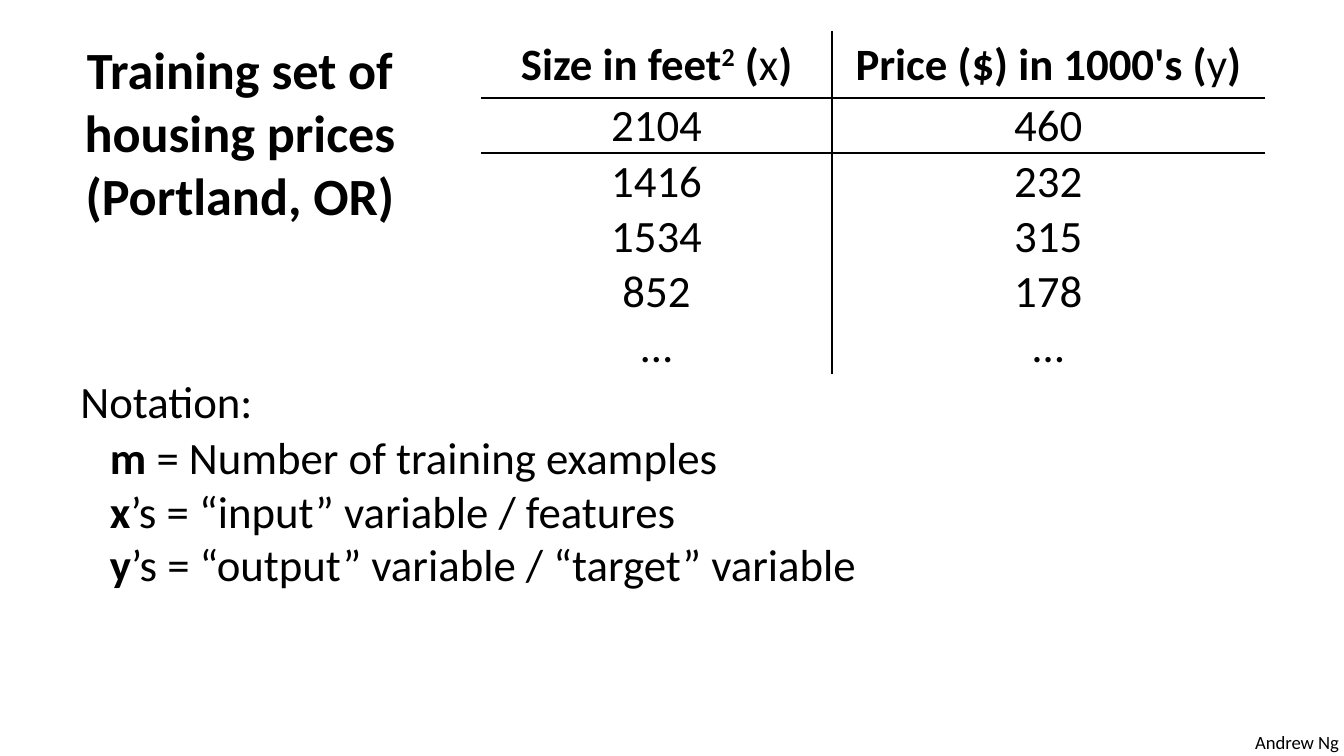
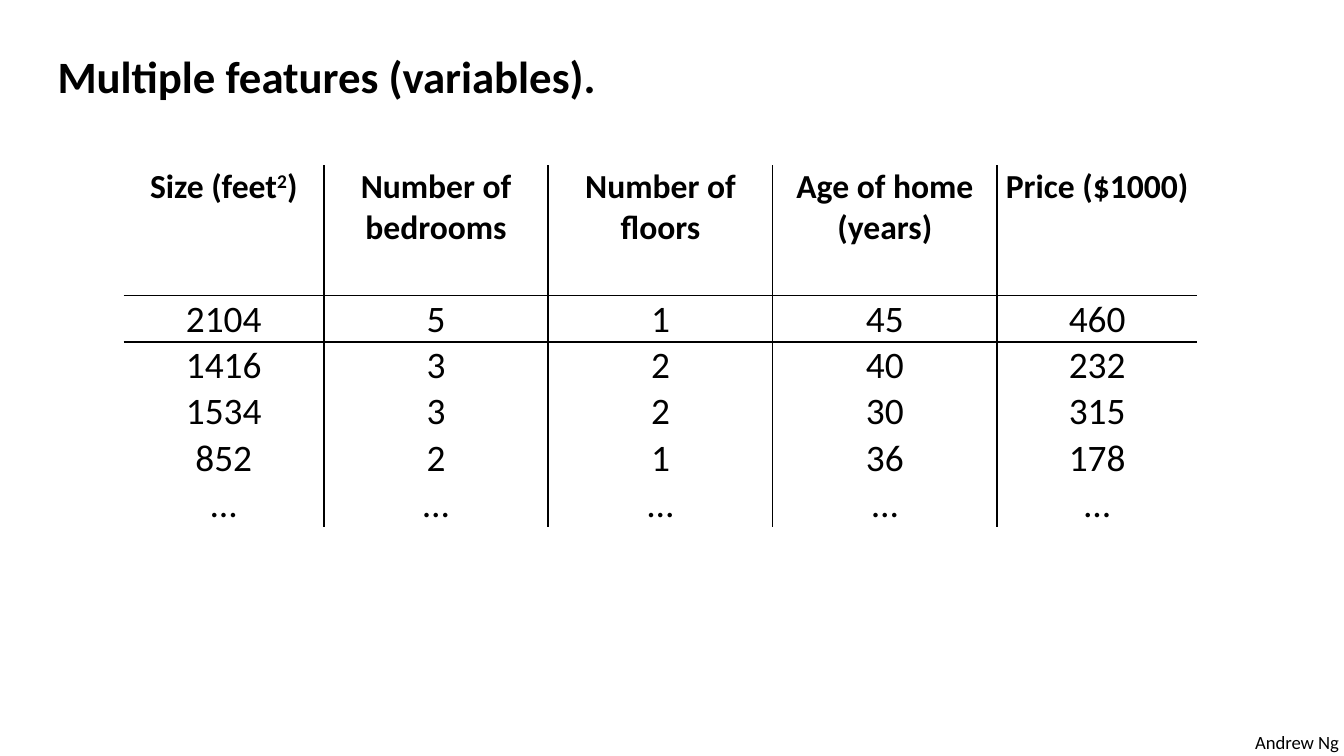
from lxml.etree import fromstring
from pptx import Presentation
from pptx.dml.color import RGBColor
from pptx.enum.text import MSO_ANCHOR, PP_ALIGN
from pptx.oxml.ns import nsdecls
from pptx.util import Inches, Pt

BLACK = "000000"
WHITE = "FFFFFF"
FONT = "Calibri"
BORDER = f'<a:solidFill><a:srgbClr val="{BLACK}"/></a:solidFill>'
NO_BORDER = "<a:noFill/>"


def write(paragraph, parts, size, align=PP_ALIGN.LEFT):
    paragraph.alignment = align
    for text, style in parts:
        run = paragraph.add_run()
        run.text = text
        run.font.name = FONT
        run.font.size = Pt(size)
        run.font.bold = "bold" in style
        run.font.color.rgb = RGBColor.from_string(BLACK)
        if "super" in style:
            run._r.get_or_add_rPr().set("baseline", "30000")


def add_text(slide, box, lines, size, align=PP_ALIGN.LEFT):
    frame = slide.shapes.add_textbox(*map(Inches, box)).text_frame
    frame.word_wrap = True
    for index, parts in enumerate(lines):
        paragraph = frame.add_paragraph() if index else frame.paragraphs[0]
        write(paragraph, parts, size, align)
    return frame


prs = Presentation()
prs.slide_width = Inches(10)
prs.slide_height = prs.slide_width * 9 // 16
training_set, features = [prs.slides.add_slide(prs.slide_layouts[6]) for _ in range(2)]

for slide in (training_set, features):
    add_text(slide, (9.24, 5.39, 0.84, 0.27), [[("Andrew Ng", "")]], 10)

notation = add_text(training_set, (0.5, 2.73, 6.03, 1.75), [
    [("Notation:", "")],
    [("m", "bold"), (" = Number of training examples", "")],
    [("x", "bold"), ("’s = “input” variable / features", "")],
    [("y", "bold"), ("’s = “output” variable / “target” variable", "")],
], 24)
for definition in notation.paragraphs[1:]:
    definition._p.get_or_add_pPr().set("marL", str(Inches(0.22)))
notation.paragraphs[1].space_before = Pt(1.2)

price_headers = [
    [("Size in feet", "bold"), ("2", "bold super"), (" (", "bold"), ("x", ""), (")", "bold")],
    [("Price ($) in 1000's (", "bold"), ("y", ""), (")", "bold")],
]
feature_headers = [
    [("Size (feet", "bold"), ("2", "bold super"), (")", "bold")],
    [("Number of bedrooms", "bold")],
    [("Number of floors", "bold")],
    [("Age of home (years)", "bold")],
    [("Price ($1000)", "bold")],
]
homes = [
    ("2104", "5", "1", "45", "460"),
    ("1416", "3", "2", "40", "232"),
    ("1534", "3", "2", "30", "315"),
    ("852", "2", "1", "36", "178"),
    ("…",) * 5,
]
sizes_and_prices = [(home[0], home[-1]) for home in homes]

tables = [
    (training_set, (3.58, 0.23), [2.61, 3.22], 0.5, 0.41,
     price_headers, sizes_and_prices, 24, 24, MSO_ANCHOR.MIDDLE),
    (features, (0.92, 1.23), [1.49, 1.67, 1.67, 1.67, 1.49], 0.97, 0.34,
     feature_headers, homes, 18, 20, MSO_ANCHOR.TOP),
]

for (slide, (left, top), widths, header_height, row_height,
     headers, records, header_size, body_size, header_anchor) in tables:
    heights = [header_height] + [row_height] * len(records)
    table = slide.shapes.add_table(
        len(heights), len(widths), Inches(left), Inches(top),
        Inches(sum(widths)), Inches(sum(heights))).table
    table.first_row = table.horz_banding = False
    for column, width in zip(table.columns, widths):
        column.width = Inches(width)
    rows = [headers] + [[[(value, "")] for value in record] for record in records]
    for r, (row, height) in enumerate(zip(rows, heights)):
        table.rows[r].height = Inches(height)
        for c, parts in enumerate(row):
            cell = table.cell(r, c)
            cell.margin_left = cell.margin_right = cell.margin_top = Inches(0.01)
            cell.margin_bottom = 0
            cell.vertical_anchor = MSO_ANCHOR.BOTTOM if r else header_anchor
            cell.fill.solid()
            cell.fill.fore_color.rgb = RGBColor.from_string(WHITE)
            write(cell.text_frame.paragraphs[0], parts,
                  body_size if r else header_size, PP_ALIGN.CENTER)
            sides = {"L": c > 0, "R": c < len(widths) - 1, "T": r in (1, 2), "B": r in (0, 1)}
            for position, (side, drawn) in enumerate(sides.items()):
                cell._tc.get_or_add_tcPr().insert(position, fromstring(
                    f'<a:ln{side} {nsdecls("a")} w="{Pt(1)}">'
                    f'{BORDER if drawn else NO_BORDER}</a:ln{side}>'))

add_text(training_set, (0.5, 0.23, 2.57, 1.51), [
    [(line, "bold")]
    for line in ("Training set of", "housing prices", "(Portland, OR)")
], 28, PP_ALIGN.CENTER)

add_text(features, (0.33, 0.31, 8.5, 0.5),
         [[("Multiple features (variables).", "bold")]], 24)

prs.save("out.pptx")
